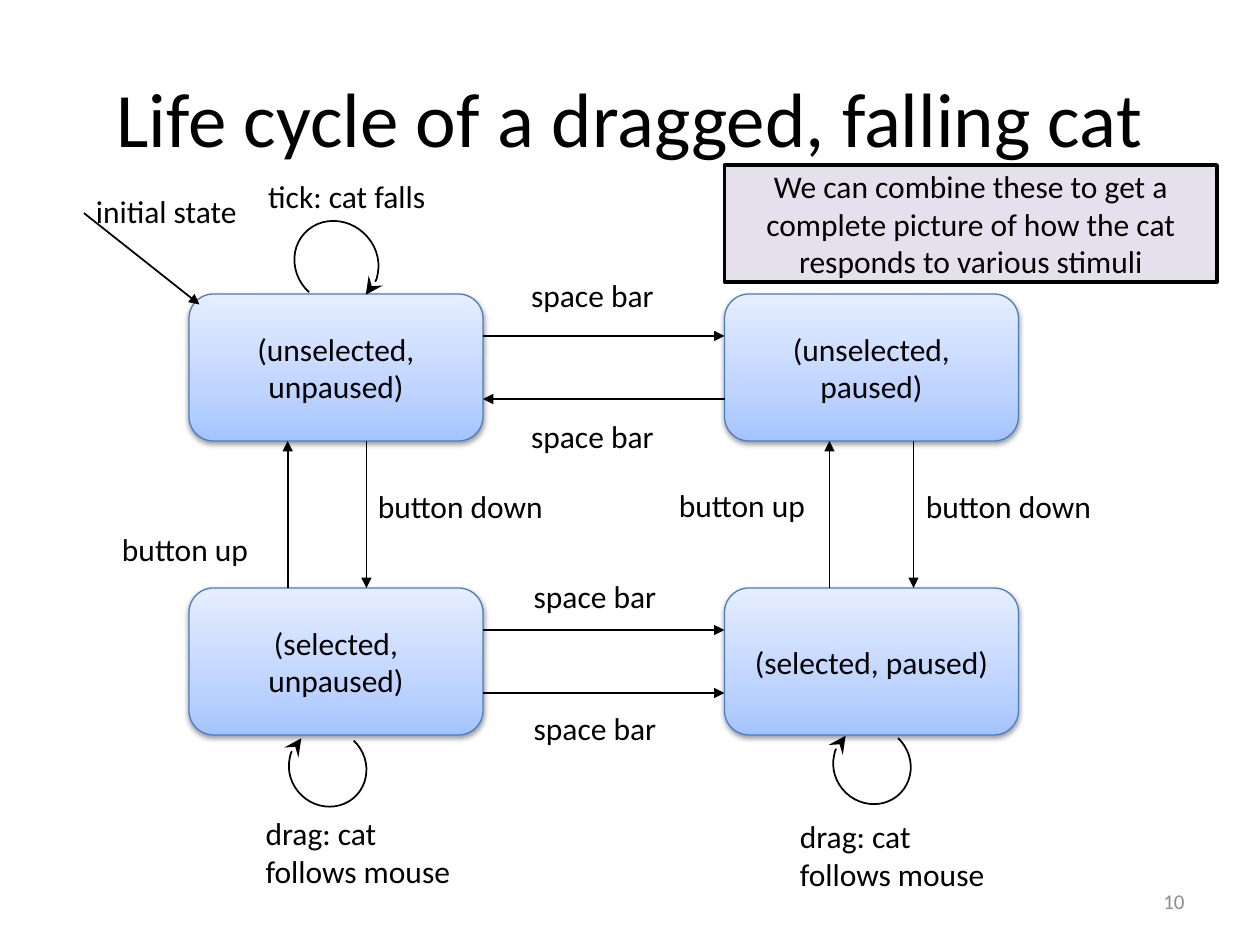
import dataclasses
import typing

import lxml.etree
import pptx
import pptx.dml.color
import pptx.enum.shapes
import pptx.enum.text
import pptx.oxml
import pptx.oxml.ns
import pptx.util

COLORS = {"ink": "000000", "edge": "4B7EBC", "note": "E6E0EC", "number": "8C8C8C",
          "deep": "A4C4FF", "middle": "BFD4FF", "pale": "E6EEFF"}
FONT = "Calibri"
CELLS_PER_INCH = 12
SHAPE = pptx.enum.shapes.MSO_SHAPE
ALIGN = pptx.enum.text.PP_ALIGN
ANCHOR = pptx.enum.text.MSO_ANCHOR
NAMESPACE = pptx.oxml.ns.nsdecls("a")

STATE_COLUMNS, STATE_ROWS = (18, 69), (28, 56)
STATE_WIDTH, STATE_HEIGHT = 28, 14
LOOP_ANGLES = (180, 94.76)
ADJUSTMENT_PER_DEGREE = 0.6


@dataclasses.dataclass
class Area:
    """A rectangle in grid cells."""
    column: float
    row: float
    columns: float
    rows: float


@dataclasses.dataclass
class Label:
    """Text and the area that holds it."""
    text: str
    area: Area


@dataclasses.dataclass
class Arrow:
    """A straight arrow between two grid points."""
    start: tuple[float, float]
    end: tuple[float, float]


@dataclasses.dataclass
class Loop:
    """A turned arc from a state back to itself."""
    area: Area
    rotation: float


def cells(count: float) -> int:
    """Turn a number of grid cells into a length."""
    return pptx.util.Inches(count / CELLS_PER_INCH)


def bounds(area: Area) -> list[int]:
    """Give left, top, width and height of an area."""
    return [cells(count) for count in dataclasses.astuple(area)]


def color(name: str) -> pptx.dml.color.RGBColor:
    """Look up a named colour."""
    return pptx.dml.color.RGBColor.from_string(COLORS[name])


def apply(target: typing.Any, values: dict[str, typing.Any]) -> None:
    """Set attributes from a dict of format values."""
    for name, value in values.items():
        setattr(target, name, value)


def write(box: typing.Any, text: str, size: float = 18, ink: str = "ink",
          align: typing.Any = ALIGN.LEFT, anchor: typing.Any = ANCHOR.TOP) -> None:
    """Put formatted text into a box."""
    apply(box.text_frame, {"word_wrap": True, "vertical_anchor": anchor})
    para = box.text_frame.paragraphs[0]
    para.alignment = align
    span = para.add_run()
    span.text = text
    apply(span.font, {"name": FONT, "size": pptx.util.Pt(size)})
    span.font.color.rgb = color(ink)


def stroke(item: typing.Any, ink: str, width: float, **head: str) -> None:
    """Give an outline, and an arrowhead at its end if one is described."""
    item.line.color.rgb = color(ink)
    item.line.width = pptx.util.Pt(width)
    if head:
        line = item.line._get_or_add_ln()
        lxml.etree.SubElement(line, pptx.oxml.ns.qn("a:tailEnd"), head)


def draw_text(page: typing.Any, label: Label, **style: typing.Any) -> None:
    """Draw a text box."""
    write(page.shapes.add_textbox(*bounds(label.area)), label.text, **style)


def draw_state(page: typing.Any, label: Label) -> None:
    """Draw a rounded state box with a gradient and a soft shadow."""
    box = page.shapes.add_shape(SHAPE.ROUNDED_RECTANGLE, *bounds(label.area))
    stroke(box, "edge", 0.75)
    box.shadow.inherit = False
    stops = "".join(
        f'<a:gs pos="{share * 1000}"><a:srgbClr val="{COLORS[name]}"/></a:gs>'
        for share, name in ((0, "deep"), (35, "middle"), (100, "pale")))
    properties = box._element.spPr
    properties.insert(2, pptx.oxml.parse_xml(
        f'<a:gradFill {NAMESPACE} rotWithShape="1"><a:gsLst>{stops}</a:gsLst>'
        '<a:lin ang="16200000" scaled="0"/></a:gradFill>'))
    properties.find(pptx.oxml.ns.qn("a:effectLst")).append(pptx.oxml.parse_xml(
        f'<a:outerShdw {NAMESPACE} blurRad="{pptx.util.Pt(3.1)}" '
        f'dist="{pptx.util.Pt(1.6)}" dir="5400000" rotWithShape="0">'
        f'<a:srgbClr val="{COLORS["ink"]}"><a:alpha val="38000"/></a:srgbClr>'
        '</a:outerShdw>'))
    write(box, label.text, align=ALIGN.CENTER, anchor=ANCHOR.MIDDLE)


def draw_arrow(page: typing.Any, arrow: Arrow) -> None:
    """Draw a straight transition."""
    points = [cells(count) for count in (*arrow.start, *arrow.end)]
    line = page.shapes.add_connector(pptx.enum.shapes.MSO_CONNECTOR.STRAIGHT, *points)
    stroke(line, "ink", 1, type="triangle")
    lxml.etree.SubElement(line._element.spPr, pptx.oxml.ns.qn("a:effectLst"))


def draw_loop(page: typing.Any, loop: Loop) -> None:
    """Draw a transition from a state to itself."""
    arc = page.shapes.add_shape(SHAPE.ARC, *bounds(loop.area))
    for index, degrees in enumerate(LOOP_ANGLES):
        arc.adjustments[index] = degrees * ADJUSTMENT_PER_DEGREE
    arc.rotation = loop.rotation
    arc.fill.background()
    arc.shadow.inherit = False
    stroke(arc, "ink", 1, type="stealth", w="lg", len="lg")


def draw_note(page: typing.Any, label: Label) -> None:
    """Draw the framed remark."""
    box = page.shapes.add_shape(SHAPE.RECTANGLE, *bounds(label.area))
    box.shadow.inherit = False
    box.fill.solid()
    box.fill.fore_color.rgb = color("note")
    stroke(box, "ink", 2)
    write(box, label.text, align=ALIGN.CENTER, anchor=ANCHOR.MIDDLE)


STATES = [
    Label(f"({selection}, {motion})", Area(column, row, STATE_WIDTH, STATE_HEIGHT))
    for row, selection in zip(STATE_ROWS, ("unselected", "selected"))
    for column, motion in zip(STATE_COLUMNS, ("unpaused", "paused"))]

LEFT, RIGHT = STATE_COLUMNS[0] + STATE_WIDTH, STATE_COLUMNS[1]
UPPER, LOWER = STATE_ROWS[0] + STATE_HEIGHT, STATE_ROWS[1]
ARROWS = [
    Arrow((LEFT, 32), (RIGHT, 32)), Arrow((RIGHT, 38), (LEFT, 38)),
    Arrow((LEFT, 60), (RIGHT, 60)), Arrow((LEFT, 66), (RIGHT, 66)),
    *(Arrow((column, UPPER), (column, LOWER)) for column in (34.9, 87)),
    *(Arrow((column, LOWER), (column, UPPER)) for column in (27.4, 79)),
    Arrow((8, 20.3), (19, 29))]

LOOPS = [Loop(Area(27.6, 69.36, 7.2, 7.56), 133.6),
         Loop(Area(79.44, 69.12, 7.2, 7.56), 133.6),
         Loop(Area(28.2, 20.88, 7.68, 8.28), 312.7)]

LABEL_GROUPS = [
    ("initial state", 19, 4.8, [(7.95, 17.7)]),
    ("tick: cat falls", 17.4, 4.8, [(24.36, 16.32)]),
    ("button down", 19, 4.8, [(34.8, 45.84), (87, 45.84)]),
    ("button up", 19, 4.8, [(10.44, 49.92), (63.48, 45.72)]),
    ("space bar", 16.2, 4.8,
     [(49.4, 25.68), (49.4, 39.12), (49.64, 54.36), (49.64, 66.96)]),
    ("drag: cat follows mouse", 21.48, 8.52, [(24.12, 76.92), (75, 77.2)])]


def main() -> None:
    """Build and save the slide."""
    deck = pptx.Presentation()
    apply(deck, {"slide_width": pptx.util.Inches(10), "slide_height": pptx.util.Inches(7.5)})
    page = deck.slides.add_slide(deck.slide_layouts[6])
    draw_text(page, Label("Life cycle of a dragged, falling cat", Area(6, 3.6, 108, 15)),
              size=44, align=ALIGN.CENTER, anchor=ANCHOR.MIDDLE)
    for draw, items in ((draw_state, STATES), (draw_arrow, ARROWS), (draw_loop, LOOPS)):
        for item in items:
            draw(page, item)
    for text, columns, rows, places in LABEL_GROUPS:
        for column, row in places:
            draw_text(page, Label(text, Area(column, row, columns, rows)))
    draw_note(page, Label("We can combine these to get a complete picture of how "
                          "the cat responds to various stimuli",
                          Area(69, 15.72, 46.92, 11.16)))
    draw_text(page, Label("10", Area(86, 83.4, 28, 4.8)), size=12, ink="number",
              align=ALIGN.RIGHT, anchor=ANCHOR.MIDDLE)
    deck.save("out.pptx")


main()
